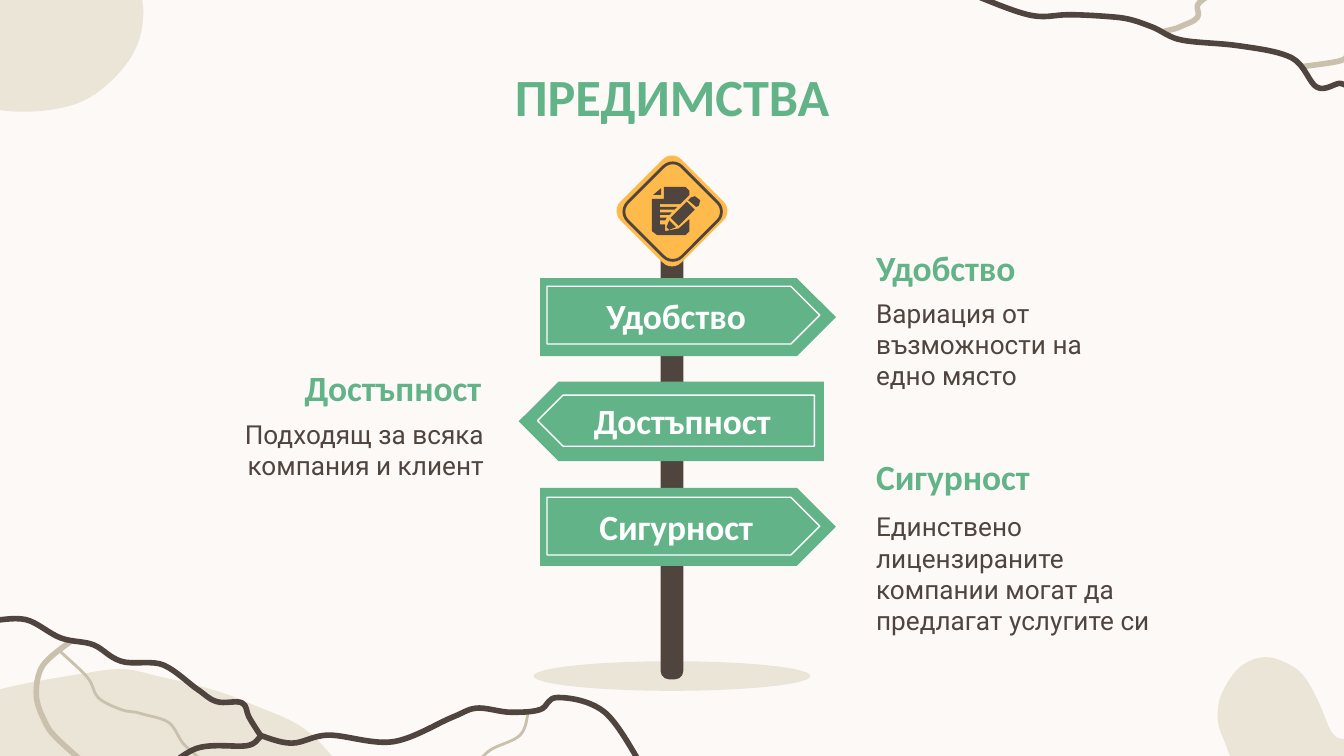
from lxml import etree
from pptx import Presentation
from pptx import util as u
from pptx.dml.color import RGBColor
from pptx.enum import shapes, text
from pptx.oxml.ns import qn

PX = 9144  # 100 px to the inch
CREAM = RGBColor(0xFC, 0xF9, 0xF7)
SAND = RGBColor(0xEB, 0xE5, 0xD8)
TAUPE = RGBColor(0xC9, 0xC0, 0xAD)
BROWN = RGBColor(0x50, 0x44, 0x3F)
GREEN = RGBColor(0x63, 0xB3, 0x89)
YELLOW = RGBColor(0xFF, 0xBA, 0x4C)
WHITE = RGBColor(0xFF, 0xFF, 0xFF)

BLOBS = [
    [(69, 500), (121, 504), (185, 523), (243, 558), (302, 659), (218, 820), (114, 733),
     (40, 662), (-81, 784), (-120, 617), (-50, 532)],
    [(79, -45), (104, -7), (104, 28), (85, 58), (51, 79), (-5, 81), (-60, 56),
     (-88, -2), (-32, -27), (22, -57)],
    [(942, 489), (923, 496), (910, 514), (906, 531), (910, 549), (932, 587),
     (997, 609), (1068, 565), (1053, 502), (1022, 536), (1002, 549), (991, 545),
     (981, 522), (965, 498)],
]
# colour, width in points, nodes
STREAMS = [
    (TAUPE, 1.5, [(393, 530), (387, 547), (365, 558), (352, 571)]),
    (TAUPE, 1.5, [(43, 483), (65, 504), (73, 519), (90, 528), (105, 531), (126, 538),
                  (137, 554), (148, 564)]),
    (TAUPE, 3, [(53, 477), (32, 495), (27, 516), (33, 536), (43, 550), (74, 578)]),
    (BROWN, 3, [(-7, 462), (19, 461), (46, 475), (70, 480), (90, 492), (122, 495),
                (147, 513), (161, 522), (180, 523), (185, 533), (195, 549)]),
    (BROWN, 3, [(193, 547), (217, 553), (245, 547), (292, 552), (336, 534), (354, 527),
                (380, 530), (402, 528), (415, 519), (450, 530), (479, 572)]),
    (BROWN, 3, [(194, 548), (183, 555), (146, 557), (117, 577)]),
    (TAUPE, 3, [(864, 24), (878, 20), (891, 13), (891, 4), (899, -3)]),
    (TAUPE, 3, [(967, 50), (998, 45), (1002, 40)]),
    (BROWN, 3, [(719, -6), (765, 11), (795, 11), (832, 13), (857, 20), (880, 30),
                (921, 34), (961, 43), (980, 65), (997, 62), (1007, 68)]),
]
ICON = [
    # page with text lines cut out beside the pencil
    [(494, 139), (494, 148), (485, 148), (485, 172), (489, 175), (510, 175),
     (513, 172), (513, 163), (505, 170), (495, 172), (495, 167),
     (491, 167), (491, 164), (495, 164), (496, 162), (491, 162), (491, 160), (498, 160),
     (500, 158), (491, 158), (491, 156), (502, 156), (504, 154), (491, 154), (491, 152),
     (506, 152), (513, 145), (513, 142), (510, 139)],
    [(498, 164), (496, 169), (498, 171), (503, 169)],  # pencil tip
    [(517, 146), (514, 147), (512, 149), (518, 154), (520, 153), (521, 149)],  # eraser
    [(511, 150), (499, 162), (505, 168), (517, 156)],  # pencil body
    [(492, 140), (486, 145), (492, 145)],  # folded corner
]
# label, board box, inner frame box, points left
SIGNS = [
    ("Достъпност", (386, 284, 227, 59), (400, 294, 206, 38), True),
    ("Удобство", (402, 207, 220, 58), (407, 213, 203, 43), False),
    ("Сигурност", (402, 363, 220, 58), (407, 370, 203, 43), False),
]
# heading, heading box, paragraphs, body box, alignment
LEFT, CENTER, RIGHT = text.PP_ALIGN.LEFT, text.PP_ALIGN.CENTER, text.PP_ALIGN.RIGHT
NOTES = [
    ("Сигурност", (642, 322, 232, 58),
     ["Единствено лицензираните компании могат да предлагат услугите си"],
     (642, 370, 232, 109), LEFT),
    ("Удобство", (642, 167, 232, 58), ["Вариация от възможности на", "едно място"],
     (642, 211, 232, 82), LEFT),
    ("Достъпност", (136, 256, 232, 58), ["Подходящ за всяка компания и клиент"],
     (138, 301, 232, 82), RIGHT),
]


def emu(box):
    return [u.Emu(v * PX) for v in box]


def paint(sp, fill=None, line=None, width=0.75):
    sp.shadow.inherit = False
    if fill is None:
        sp.fill.background()
    else:
        sp.fill.solid()
        sp.fill.fore_color.rgb = fill
    if line is None:
        sp.line.fill.background()
    else:
        sp.line.color.rgb = line
        sp.line.width = u.Pt(width)


def outline(s, nodes, closed=True, **look):
    builder = s.shapes.build_freeform(*nodes[0], scale=PX)
    builder.add_line_segments(nodes[1:], close=closed)
    sp = builder.convert_to_shape()
    paint(sp, **look)
    return sp


def curve(s, nodes, closed, **look):
    """Outline whose straight segments become Catmull-Rom curves."""
    sp = outline(s, nodes + nodes[:1] if closed else nodes, closed, **look)
    geometry = sp._element.spPr.find(qn("a:custGeom"))
    pts = [(int(pt.get("x")), int(pt.get("y"))) for pt in geometry.iter(qn("a:pt"))]
    before, after = (pts[-2], pts[1]) if closed else (pts[0], pts[-1])
    ring = [before, *pts, after]
    for i, segment in enumerate(list(geometry.iter(qn("a:lnTo")))):
        a, b, c, d = ring[i:i + 4]
        controls = [[b[k] + (c[k] - a[k]) / 6 for k in (0, 1)],
                    [c[k] - (d[k] - b[k]) / 6 for k in (0, 1)], c]
        bezier = etree.Element(qn("a:cubicBezTo"))
        for x, y in controls:
            etree.SubElement(bezier, qn("a:pt"), x=str(round(x)), y=str(round(y)))
        segment.getparent().replace(segment, bezier)


def preset(s, kind, box, adj=None, rotation=0, flip=False, **look):
    sp = s.shapes.add_shape(kind, *emu(box))
    paint(sp, **look)
    sp.rotation = rotation
    if adj is not None:
        sp.adjustments[0] = adj
    if flip:
        sp._element.spPr.find(qn("a:xfrm")).set("flipH", "1")
    return sp


def write(sp, paragraphs, font="Calibri", size=19, color=GREEN, bold=True,
          align=LEFT, anchor=text.MSO_ANCHOR.MIDDLE):
    tf = sp.text_frame
    tf.word_wrap = True
    tf.auto_size = text.MSO_AUTO_SIZE.NONE
    tf.vertical_anchor = anchor
    tf.margin_left = tf.margin_right = tf.margin_top = tf.margin_bottom = u.Emu(10 * PX)
    for i, line in enumerate(paragraphs):
        p = tf.paragraphs[0] if i == 0 else tf.add_paragraph()
        p.alignment = align
        r = p.add_run()
        r.text = line
        r.font.name, r.font.size, r.font.bold = font, u.Pt(size), bold
        r.font.color.rgb = color


def add_sign(s, label, board, frame, flip):
    arrow = shapes.MSO_SHAPE.PENTAGON
    preset(s, arrow, board, flip=flip, fill=GREEN)
    sp = preset(s, arrow, frame, flip=flip, line=WHITE)
    write(sp, [label], color=WHITE, align=CENTER)


def add_note(s, heading, head_box, body, body_box, align):
    write(s.shapes.add_textbox(*emu(head_box)), [heading], align=align,
          anchor=text.MSO_ANCHOR.BOTTOM)
    write(s.shapes.add_textbox(*emu(body_box)), body, font="Roboto", size=14,
          color=BROWN, bold=False, align=align, anchor=text.MSO_ANCHOR.TOP)


def main():
    prs = Presentation()
    prs.slide_width = u.Emu(1000 * PX)
    prs.slide_height = u.Emu(prs.slide_width * 9 // 16)
    s = prs.slides.add_slide(prs.slide_layouts[5])
    s.background.fill.solid()
    s.background.fill.fore_color.rgb = CREAM

    # Background decoration
    for nodes in BLOBS:
        curve(s, nodes, True, fill=SAND)
    for color, width, nodes in STREAMS:
        curve(s, nodes, False, line=color, width=width)

    # Title
    title = s.shapes.title
    title.left, title.top, title.width, title.height = emu((83, 40, 834, 63))
    write(title, ["ПРЕДИМСТВА"], size=28, align=CENTER)

    # Signpost: ground, pole, boards
    rounded = shapes.MSO_SHAPE.ROUNDED_RECTANGLE
    preset(s, shapes.MSO_SHAPE.OVAL, (397, 492, 206, 22), fill=SAND)
    preset(s, rounded, (337, 334, 326, 17), adj=0.38, rotation=270, fill=BROWN)
    for sign in SIGNS:
        add_sign(s, *sign)

    # Diamond with document icon
    preset(s, rounded, (468, 125, 64, 64), adj=0.15, rotation=45, fill=YELLOW)
    preset(s, rounded, (472, 129, 57, 57), adj=0.17, rotation=45, line=BROWN, width=1.5)
    for nodes in ICON:
        outline(s, nodes, fill=BROWN)

    # Explanations
    for note in NOTES:
        add_note(s, *note)

    prs.save("out.pptx")


if __name__ == "__main__":
    main()
